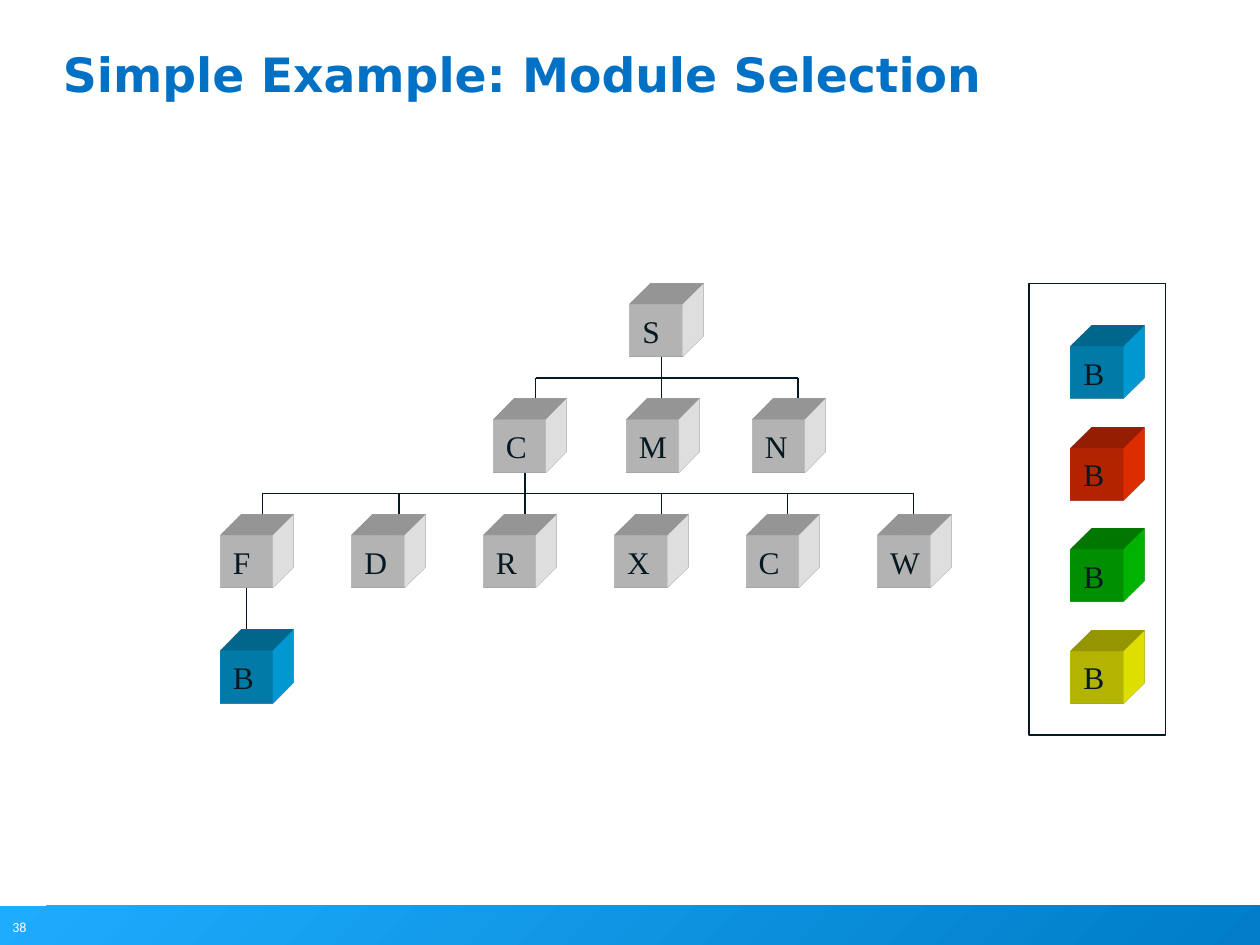
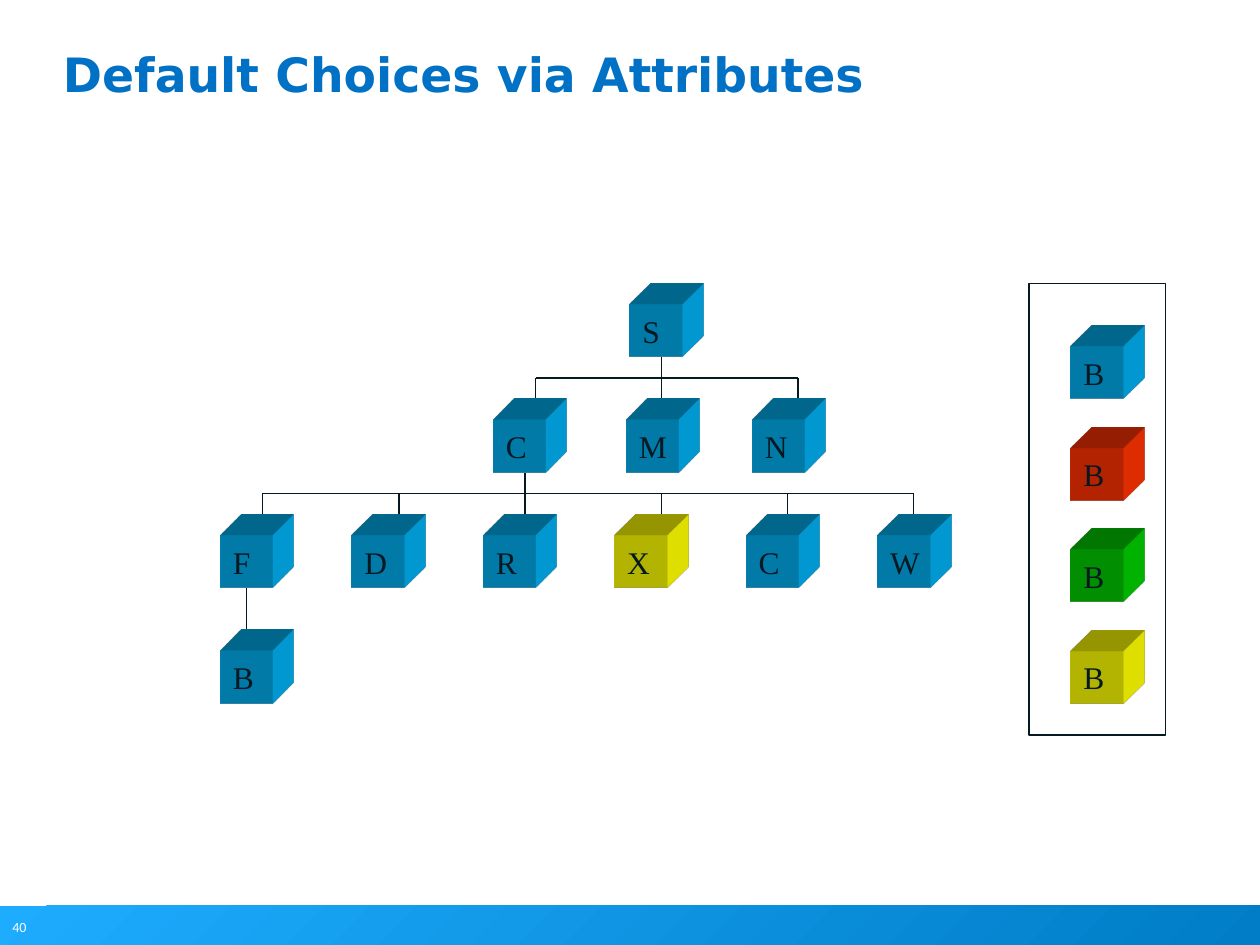
from dataclasses import dataclass

from lxml import etree
from pptx import Presentation
from pptx import util as u
from pptx.dml.color import RGBColor
from pptx.enum import shapes, text
from pptx.oxml import ns


@dataclass(frozen=True)
class Theme:
    ink: str = "061922"
    title: str = "0071C5"
    band_start: str = "1EACFF"
    band_end: str = "007DC6"
    white: str = "FFFFFF"
    blue: str = "00AEEF"
    red: str = "FF3300"
    green: str = "00CC00"
    yellow: str = "FFFF00"
    title_font: str = "DejaVu Sans"
    cube_font: str = "Times New Roman"
    number_font: str = "Calibri"
    title_size: float = 27
    title_leading: float = 26
    cube_size: float = 18
    number_size: float = 8
    line_width: float = 0.75


THEME = Theme()
COLUMNS, ROWS = 120, 90
CELL = u.Inches(10) // COLUMNS
CUBE = 5  # cells along one edge of a cube's front
LEAF_STEP = 12.52
PALETTE_STEP = 9.67

# Boxes are left, top, width, height in grid cells
TITLE_BOX = (6, 5.4, 108, 11.64)
BAND_BOX = (0, 86.25, 120, 3.75)
NUMBER_BOX = (0, 86.88, 3.72, 2.88)
TREE_BOX = (21, 27, 67.6, 40)
PALETTE_BOX = (98, 27, 13, 43)

# Letter, column, row inside the tree box
MODULES = [("S", 39, 2), ("C", 26, 13), ("M", 38.67, 13), ("N", 50.67, 13),
           *[(letter, LEAF_STEP * i, 24) for i, letter in enumerate("FDRXCW")],
           ("B", 0, 35)]
# Stem column, row of the stem's top, columns of the other branches
BRANCHES = [(42, 7, (30, 55)), (29, 18, (4, 17, 42, 54, 66))]


def cells(*counts):
    return [round(count * CELL) for count in counts]


def rgb(value):
    return RGBColor.from_string(value)


def style(para, font, size, color, bold=False):
    para.font.name, para.font.size, para.font.bold = font, u.Pt(size), bold
    para.font.color.rgb = rgb(color)


def add_rectangle(page, box):
    rectangle = page.shapes.add_shape(shapes.MSO_SHAPE.RECTANGLE, *cells(*box))
    rectangle.shadow.inherit = False
    return rectangle


def extrude(shape, color):
    """Give a flat shape depth towards the top right."""
    def add(parent, tag, **attributes):
        return etree.SubElement(parent, ns.qn(tag), attributes)

    properties = shape.element.spPr
    scene = add(properties, "a:scene3d")
    add(scene, "a:camera", prst="legacyObliqueTopRight")
    add(scene, "a:lightRig", rig="legacyFlat3", dir="b")
    solid = add(properties, "a:sp3d", extrusionH="430200", prstMaterial="legacyMatte")
    for bevel in ("a:bevelT", "a:bevelB"):
        add(solid, bevel, w="13500", h="13500", prst="angle")
    add(add(solid, "a:extrusionClr"), "a:srgbClr", val=color)


def add_cube(page, letter, left, top, color):
    cube = add_rectangle(page, (left, top, CUBE, CUBE))
    cube.fill.solid()
    cube.fill.fore_color.rgb = rgb(color)
    cube.line.fill.background()
    extrude(cube, color)
    frame = cube.text_frame
    frame.word_wrap = False
    frame.vertical_anchor = text.MSO_ANCHOR.MIDDLE
    para = frame.paragraphs[0]
    para.text, para.alignment = letter, text.PP_ALIGN.LEFT
    style(para, THEME.cube_font, THEME.cube_size, THEME.ink)


def add_line(page, x1, y1, x2, y2):
    line = page.shapes.add_connector(shapes.MSO_CONNECTOR.STRAIGHT, *cells(x1, y1, x2, y2))
    line.line.color.rgb = rgb(THEME.ink)
    line.line.width = u.Pt(THEME.line_width)
    etree.SubElement(line.element.spPr, ns.qn("a:effectLst"))


def add_title(page, box, title):
    frame = page.shapes.add_textbox(*cells(*box)).text_frame
    frame.word_wrap = True
    frame.margin_left = frame.margin_top = frame.margin_right = frame.margin_bottom = 0
    para = frame.paragraphs[0]
    para.text, para.line_spacing = title, u.Pt(THEME.title_leading)
    style(para, THEME.title_font, THEME.title_size, THEME.title, bold=True)


def add_footer(page, number):
    band = add_rectangle(page, BAND_BOX)
    band.line.fill.background()
    band.fill.gradient()
    band.fill.gradient_angle = 315
    for stop, position, color in zip(band.fill.gradient_stops, (0, 1),
                                     (THEME.band_start, THEME.band_end)):
        stop.position, stop.color.rgb = position, rgb(color)
    frame = page.shapes.add_textbox(*cells(*NUMBER_BOX)).text_frame
    frame.word_wrap = False
    frame.auto_size = text.MSO_AUTO_SIZE.SHAPE_TO_FIT_TEXT
    para = frame.paragraphs[0]
    para.text = str(number)
    style(para, THEME.number_font, THEME.number_size, THEME.white)


def add_palette(page, box):
    """Frame the module variants to choose from."""
    left, top = box[:2]
    panel = add_rectangle(page, box)
    panel.fill.background()
    panel.line.color.rgb = rgb(THEME.ink)
    panel.line.width = u.Pt(THEME.line_width)
    for i, color in enumerate((THEME.blue, THEME.red, THEME.green, THEME.yellow)):
        add_cube(page, "B", left + 4, top + 6 + PALETTE_STEP * i, color)


def add_tree(page, box, default, chosen):
    """Draw the module tree; chosen maps letters to colours other than default."""
    left, top = box[:2]
    for stem, row, drops in BRANCHES:
        x, y = left + stem, top + row
        add_line(page, x, y, x, y + 4)
        add_line(page, left + min(drops), y + 2, left + max(drops), y + 2)
        for drop in drops:
            add_line(page, left + drop, y + 4, left + drop, y + 2)
    add_line(page, left + CUBE / 2, top + 29, left + CUBE / 2, top + 33)
    for letter, column, row in MODULES:
        add_cube(page, letter, left + column, top + row, chosen.get(letter, default))


def add_module_slide(deck, number, title, default, chosen):
    page = deck.slides.add_slide(deck.slide_layouts[6])
    add_footer(page, number)
    add_title(page, TITLE_BOX, title)
    add_palette(page, PALETTE_BOX)
    add_tree(page, TREE_BOX, default, chosen)


def main():
    deck = Presentation()
    deck.slide_width, deck.slide_height = cells(COLUMNS, ROWS)
    add_module_slide(deck, 38, "Simple Example: Module Selection",
                     THEME.white, {"B": THEME.blue})
    add_module_slide(deck, 40, "Default Choices via Attributes",
                     THEME.blue, {"X": THEME.yellow})
    deck.save("out.pptx")


if __name__ == "__main__":
    main()
